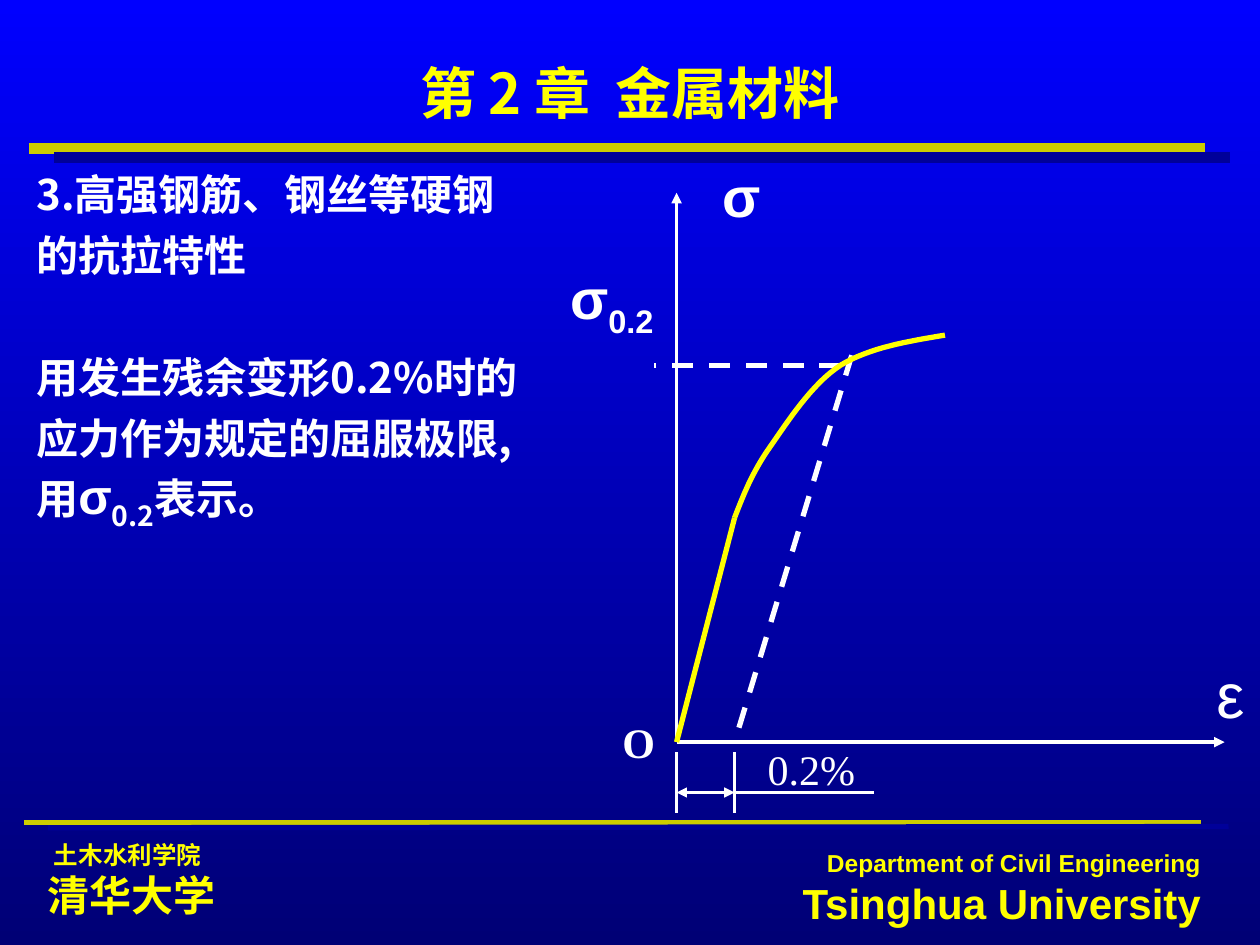
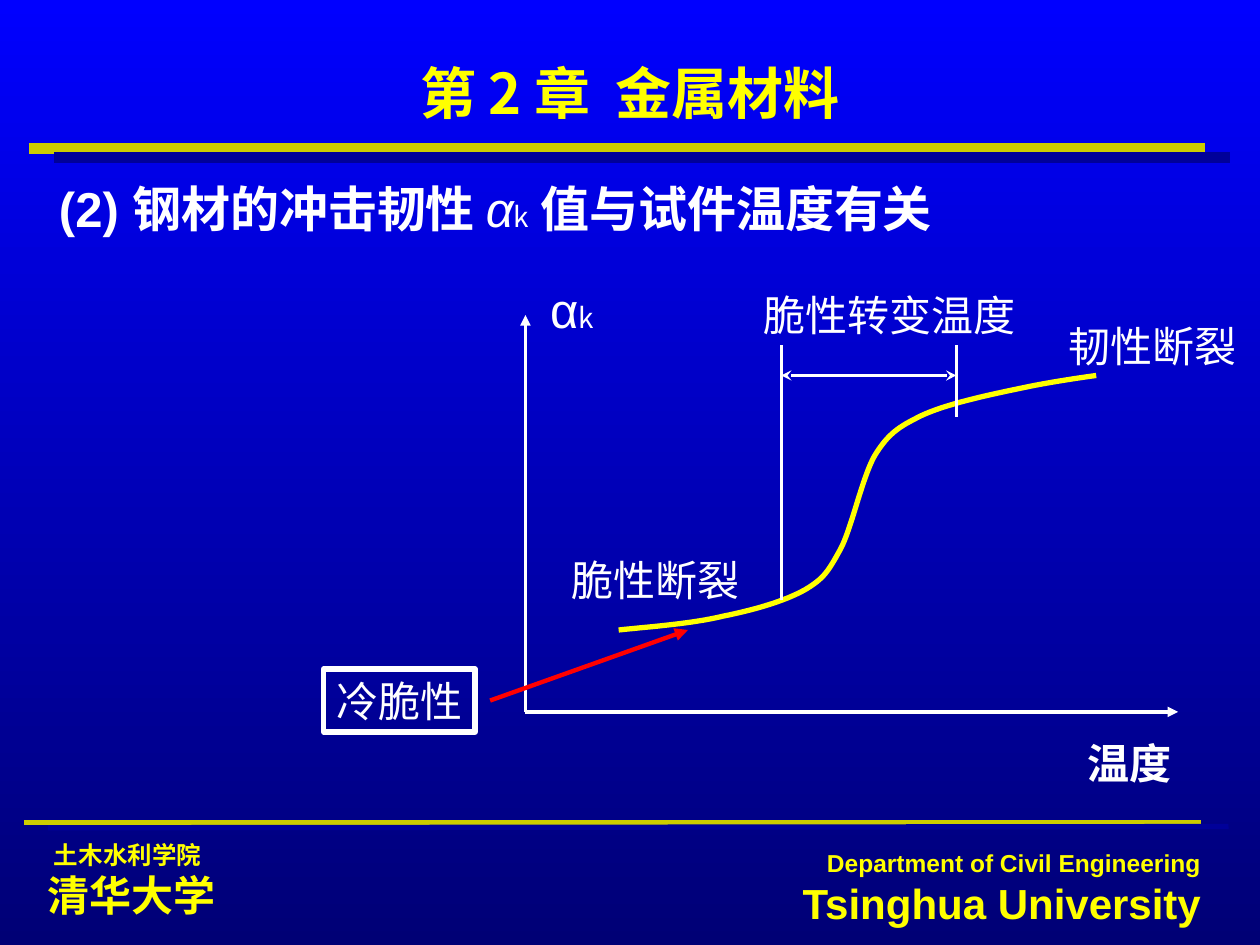
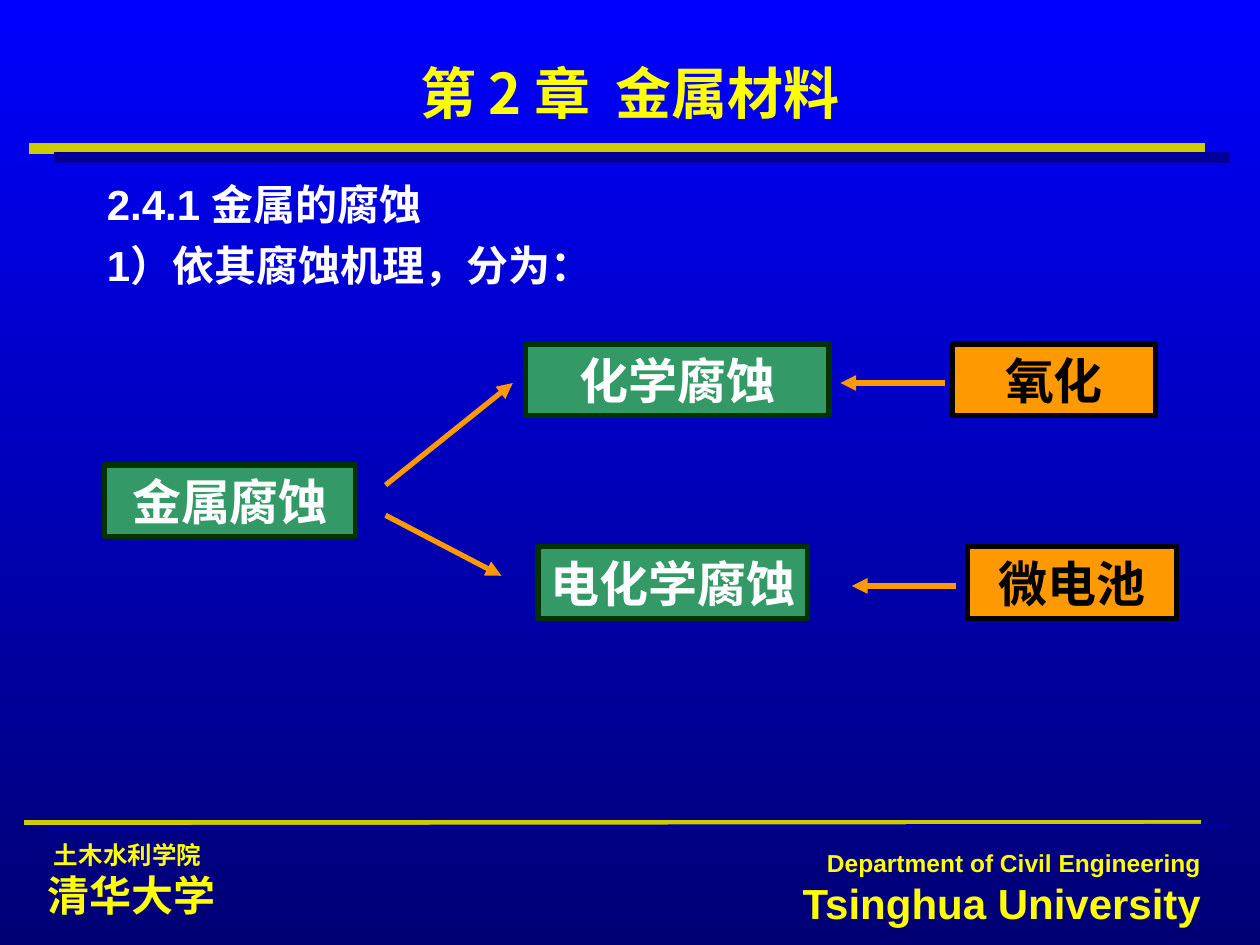
from itertools import pairwise
from typing import NamedTuple

import pptx
import pptx.dml.color
import pptx.enum.dml
import pptx.enum.shapes
import pptx.enum.text
import pptx.oxml.ns
import pptx.util
from lxml import etree

RGBColor = pptx.dml.color.RGBColor
WHITE = RGBColor(0xFF, 0xFF, 0xFF)
BLACK = RGBColor(0, 0, 0)
YELLOW = RGBColor(0xFF, 0xFF, 0)
GOLD = RGBColor(0xCC, 0xCC, 0)
NAVY = RGBColor(0, 0, 0x99)
RED = RGBColor(0xFF, 0, 0)
GREEN = RGBColor(0x33, 0x99, 0x66)
DARK_GREEN = RGBColor(0, 0x33, 0)
ORANGE = RGBColor(0xFF, 0x99, 0)
BG_TOP = RGBColor(0, 0, 0xFF)
BG_BOTTOM = RGBColor(0, 0, 0x75)

ARIAL, CJK, TIMES = "Arial", "Noto Sans CJK SC", "Times New Roman"
ALIGN = pptx.enum.text.PP_ALIGN
ANCHOR = pptx.enum.text.MSO_ANCHOR

# The slide is a grid of 100 columns by 75 rows.
SLIDE_W, SLIDE_H = pptx.util.Inches(10), pptx.util.Inches(7.5)
COL, ROW = SLIDE_W / 100, SLIDE_H / 75
LINE_HEIGHT = 1.2


class Point(NamedTuple):
    col: float
    row: float

    def emu(self) -> tuple[int, int]:
        return round(self.col * COL), round(self.row * ROW)


class Box(NamedTuple):
    col: float
    row: float
    cols: float
    rows: float

    def emu(self) -> tuple[int, ...]:
        return Point(self.col, self.row).emu() + Point(self.cols, self.rows).emu()


class Run(NamedTuple):
    """A piece of text; unset fields follow the format of the whole text."""
    text: str
    size: float | None = None
    font: str | None = None
    bold: bool | None = None
    italic: bool = False
    baseline: int = 0
    gap: float = 0


class Line(NamedTuple):
    start: Point
    end: Point
    color: RGBColor = WHITE
    width: float = 1.5
    head: str = ""
    tail: str = ""
    dashed: bool = False


class Label(NamedTuple):
    box: Box
    runs: list[Run]
    size: float = 24
    font: str = ARIAL
    bold: bool = False
    inset: float = 1
    wrap: bool = False


class Node(NamedTuple):
    box: Box
    text: str
    fill: RGBColor
    border: RGBColor
    color: RGBColor
    wrap: bool = True


def sub(parent, tag: str, **attrs: str):
    return etree.SubElement(parent, pptx.oxml.ns.qn(tag), **attrs)


def write(sp, paragraphs: list[list[Run]], *, size=24, font=ARIAL, color=WHITE, bold=False,
          align=ALIGN.CENTER, anchor=ANCHOR.MIDDLE, inset=1, wrap=True, before=(), indent=0):
    tf = sp.text_frame
    tf.word_wrap = wrap
    tf.vertical_anchor = anchor
    tf.margin_left = tf.margin_right = round(inset * COL)
    tf.margin_top = tf.margin_bottom = round(inset * ROW / 2)
    for i, runs in enumerate(paragraphs):
        p = tf.add_paragraph() if i else tf.paragraphs[0]
        p.alignment = align
        p.line_spacing = pptx.util.Pt(LINE_HEIGHT * max(run.size or size for run in runs))
        if i and before:
            p.space_before = pptx.util.Pt(before[i - 1])
        if indent and not i:
            p._p.get_or_add_pPr().set("marL", str(round(indent * COL)))
        for run in runs:
            r = p.add_run()
            r.text = run.text
            r.font.size = pptx.util.Pt(run.size or size)
            r.font.name = run.font or font
            r.font.bold = bold if run.bold is None else run.bold
            r.font.italic = run.italic
            r.font.color.rgb = color
            rPr = r._r.get_or_add_rPr()
            if run.baseline:
                rPr.set("baseline", str(run.baseline * 1000))
            if run.gap:
                rPr.set("spc", str(round(run.gap * 100)))
            sub(rPr, "a:ea", typeface=CJK)


def add_text(slide, box: Box, paragraphs: list[list[Run]], **fmt):
    write(slide.shapes.add_textbox(*box.emu()), paragraphs, **fmt)


def add_label(slide, label: Label):
    add_text(slide, label.box, [label.runs], size=label.size, font=label.font,
             bold=label.bold, inset=label.inset, wrap=label.wrap)


def add_line(slide, line: Line):
    sp = slide.shapes.add_connector(pptx.enum.shapes.MSO_CONNECTOR.STRAIGHT,
                                    *line.start.emu(), *line.end.emu())
    sp.line.color.rgb = line.color
    sp.line.width = pptx.util.Pt(line.width)
    if line.dashed:
        sp.line.dash_style = pptx.enum.dml.MSO_LINE.DASH
    ln = sp.line._get_or_add_ln()
    if line.head:
        sub(ln, "a:headEnd", type=line.head)
    if line.tail:
        sub(ln, "a:tailEnd", type=line.tail)
    sub(sp._element.spPr, "a:effectLst")


def add_curve(slide, controls: list[Point], steps: int = 16):
    """Draw joined cubic Béziers; each takes three more control points."""
    points = []
    for i in range(0, len(controls) - 1, 3):
        bezier = controls[i:i + 4]
        for step in range(1, steps + 1):
            t = step / steps
            weights = ((1 - t) ** 3, 3 * t * (1 - t) ** 2, 3 * t * t * (1 - t), t ** 3)
            points.append(Point(sum(w * c.col for w, c in zip(weights, bezier)),
                                sum(w * c.row for w, c in zip(weights, bezier))).emu())
    builder = slide.shapes.build_freeform(*controls[0].emu(), scale=1.0)
    builder.add_line_segments(points, close=False)
    sp = builder.convert_to_shape()
    sp.shadow.inherit = False
    sp.fill.background()
    sp.line.color.rgb = YELLOW
    sp.line.width = pptx.util.Pt(3)


def add_rect(slide, box: Box, border: RGBColor, fill: RGBColor | None = None):
    sp = slide.shapes.add_shape(pptx.enum.shapes.MSO_SHAPE.RECTANGLE, *box.emu())
    sp.shadow.inherit = False
    if fill is None:
        sp.fill.background()
    else:
        sp.fill.solid()
        sp.fill.fore_color.rgb = fill
    sp.line.color.rgb = border
    sp.line.width = pptx.util.Pt(3)
    return sp


def add_node(slide, node: Node):
    sp = add_rect(slide, node.box, node.border, node.fill)
    write(sp, [[Run(node.text)]], size=28, color=node.color, bold=True, wrap=node.wrap)


BANDS = [
    Line(Point(2.3, 11.8), Point(95.6, 11.8), GOLD, 6),
    Line(Point(4.3, 12.5), Point(97.6, 12.5), NAVY, 6),
    Line(Point(1.9, 65.3), Point(95.3, 65.3), GOLD, 3),
    Line(Point(3.8, 65.7), Point(97.5, 65.6), NAVY, 3),
]


def new_slide(prs):
    """Add a slide with the shared background, bands, footers and chapter title."""
    slide = prs.slides.add_slide(prs.slide_layouts[6])
    fill = slide.background.fill
    fill.gradient()
    fill.gradient_angle = 270
    for stop, color, position in zip(fill.gradient_stops, (BG_TOP, BG_BOTTOM), (0, 1)):
        stop.color.rgb = color
        stop.position = position
    for band in BANDS:
        add_line(slide, band)
    footer = dict(color=YELLOW, bold=True)
    add_text(slide, Box(2.8, 66, 39.8, 7.7), [[Run("土木水利学院", 14)], [Run("清华大学")]],
             align=ALIGN.LEFT, indent=0.5, **footer)
    add_text(slide, Box(56.5, 66.8, 39.8, 7.4),
             [[Run("Department of Civil Engineering", 14)], [Run("Tsinghua University")]],
             align=ALIGN.RIGHT, **footer)
    add_text(slide, Box(7.5, 3.9, 85, 6.8),
             [[Run("第 2 章"), Run(" ", gap=7), Run("金属材料")]],
             size=32, font=CJK, color=YELLOW, bold=True)
    return slide


def add_body(slide, box: Box, paragraphs: list[list[Run]], **fmt):
    add_text(slide, box, paragraphs, bold=True, align=ALIGN.LEFT, anchor=ANCHOR.TOP, **fmt)


def hard_steel_slide(prs):
    slide = new_slide(prs)
    add_body(slide, Box(1.9, 12.9, 96.3, 51.2), [
        [Run("3.高强钢筋、钢丝等硬钢")],
        [Run("的抗拉特性")],
        [Run("用发生残余变形0.2%时的")],
        [Run("应力作为规定的屈服极限,")],
        [Run("用"), Run("σ", 28, ARIAL), Run("0.2", 28, baseline=-25), Run("表示。")],
    ], font=CJK, before=(6, 40.8, 6, 6))
    origin = Point(53.7, 58.9)
    offset = 58.3
    elastic_limit = Point(offset, 41.1)
    dimension_row = 62.9
    lines = [
        Line(Point(origin.col, 15.3), origin, width=2, head="triangle"),
        Line(origin, Point(97.2, origin.row), width=2, tail="triangle"),
        Line(origin, elastic_limit, YELLOW, 3),
        Line(Point(67.6, 28.2), Point(offset, origin.row), width=3, dashed=True),
        *(Line(Point(col, 59.7), Point(col, 64.5)) for col in (origin.col, offset)),
        Line(Point(origin.col, dimension_row), Point(offset, dimension_row),
             head="triangle", tail="triangle"),
        Line(Point(offset, dimension_row), Point(69.4, dimension_row)),
        Line(Point(66.7, 29), Point(51.9, 29), width=3, dashed=True),
    ]
    for line in lines:
        add_line(slide, line)
    add_curve(slide, [
        elastic_limit, Point(59, 39.3), Point(59.7, 37.5), Point(61.1, 35.5),
        Point(62.5, 33.5), Point(64.4, 30.5), Point(66.7, 29),
        Point(69, 27.6), Point(72, 27.1), Point(75, 26.6),
    ])
    labels = [
        Label(Box(55.6, 12.8, 6.5, 5.3), [Run("σ")], 32, bold=True, inset=0, wrap=True),
        Label(Box(95.3, 51.5, 4.7, 7), [Run("ε")], 36, wrap=True),
        Label(Box(48.4, 56.4, 4.6, 5), [Run("O")], font=TIMES, bold=True),
        Label(Box(60.9, 59, 7, 4), [Run("0.2%")], font=TIMES, inset=0),
        Label(Box(44.4, 21.3, 8.3, 6.1), [Run("σ"), Run("0.2", baseline=-25)], 32,
              bold=True, inset=0, wrap=True),
    ]
    for label in labels:
        add_label(slide, label)


def impact_toughness_slide(prs):
    slide = new_slide(prs)
    add_body(slide, Box(3.7, 13.7, 92.6, 51.2), [[
        Run("(2) 钢材的冲击韧性 "), Run("α", bold=False, italic=True),
        Run("k", 16, CJK, bold=False), Run(" 值与试件温度有关", font=CJK),
    ]], size=28)
    origin = Point(41.7, 56.5)
    brittle_col, tough_col, range_row = 62, 75.9, 29.8
    lines = [
        Line(Point(origin.col, 25), origin, width=2, head="triangle"),
        Line(origin, Point(93.5, origin.row), width=2, tail="triangle"),
        Line(Point(brittle_col, 27.4), Point(brittle_col, 47.6)),
        Line(Point(tough_col, 27.4), Point(tough_col, 33.1)),
        Line(Point(brittle_col, range_row), Point(tough_col, range_row),
             head="stealth", tail="stealth"),
    ]
    add_curve(slide, [
        Point(49.1, 50), Point(52, 49.7), Point(54.9, 49.5), Point(57.4, 48.9),
        Point(59.9, 48.4), Point(62.3, 47.7), Point(63.9, 46.8),
        Point(65.4, 45.9), Point(65.7, 45.4), Point(66.7, 43.6),
        Point(67.6, 41.9), Point(68.4, 38), Point(69.4, 36.2),
        Point(70.5, 34.4), Point(71.3, 33.9), Point(73.1, 33),
        Point(75, 32.1), Point(78.2, 31.4), Point(80.6, 30.9),
        Point(82.9, 30.4), Point(84.9, 30.1), Point(87, 29.8),
    ])
    for line in lines:
        add_line(slide, line)
    labels = [
        Label(Box(42.6, 21.7, 5.6, 5.7), [Run("α"), Run("k", 16, CJK)], 28),
        Label(Box(83.1, 58, 13.1, 5), [Run("温度")], bold=True, wrap=True),
        Label(Box(59.6, 22.5, 22, 5), [Run("脆性转变温度")]),
        Label(Box(44.4, 43.5, 15.3, 5), [Run("脆性断裂")]),
        Label(Box(83.8, 24.9, 15.3, 5), [Run("韧性断裂")]),
    ]
    for label in labels:
        add_label(slide, label)
    cold_brittleness = add_rect(slide, Box(25.7, 53.1, 12, 5), WHITE)
    write(cold_brittleness, [[Run("冷脆性")]], wrap=False)
    add_line(slide, Line(Point(38.9, 55.6), Point(54.6, 50), RED, 2.5, tail="triangle"))


def corrosion_slide(prs):
    slide = new_slide(prs)
    add_body(slide, Box(7.5, 13.7, 85, 51.2),
             [[Run("2.4.1 金属的腐蚀")], [Run("1）依其腐蚀机理，分为：")]], before=(6,))
    height, chemical_row, electro_row = 5.7, 27.3, 43.4
    kind = (GREEN, DARK_GREEN, WHITE)
    cause = (ORANGE, BLACK, BLACK)
    nodes = [
        Node(Box(8.3, 36.9, 19.9, height), "金属腐蚀", *kind),
        Node(Box(41.7, chemical_row, 24.1, height), "化学腐蚀", *kind),
        Node(Box(42.7, electro_row, 21.4, height), "电化学腐蚀", *kind, wrap=False),
        Node(Box(75.6, chemical_row, 16.1, height), "氧化", *cause),
        Node(Box(76.8, electro_row, 16.6, height), "微电池", *cause),
    ]
    for node in nodes:
        add_node(slide, node)
    arrows = [
        (Point(30.6, 38.5), Point(40.7, 30.4)),
        (Point(30.6, 40.9), Point(39.8, 45.7)),
        (Point(75, 30.4), Point(66.7, 30.4)),
        (Point(75.9, 46.5), Point(67.6, 46.5)),
    ]
    for start, end in arrows:
        add_line(slide, Line(start, end, ORANGE, 3, tail="triangle"))


def main():
    prs = pptx.Presentation()
    prs.slide_width, prs.slide_height = SLIDE_W, SLIDE_H
    hard_steel_slide(prs)
    impact_toughness_slide(prs)
    corrosion_slide(prs)
    prs.save("out.pptx")


if __name__ == "__main__":
    main()
